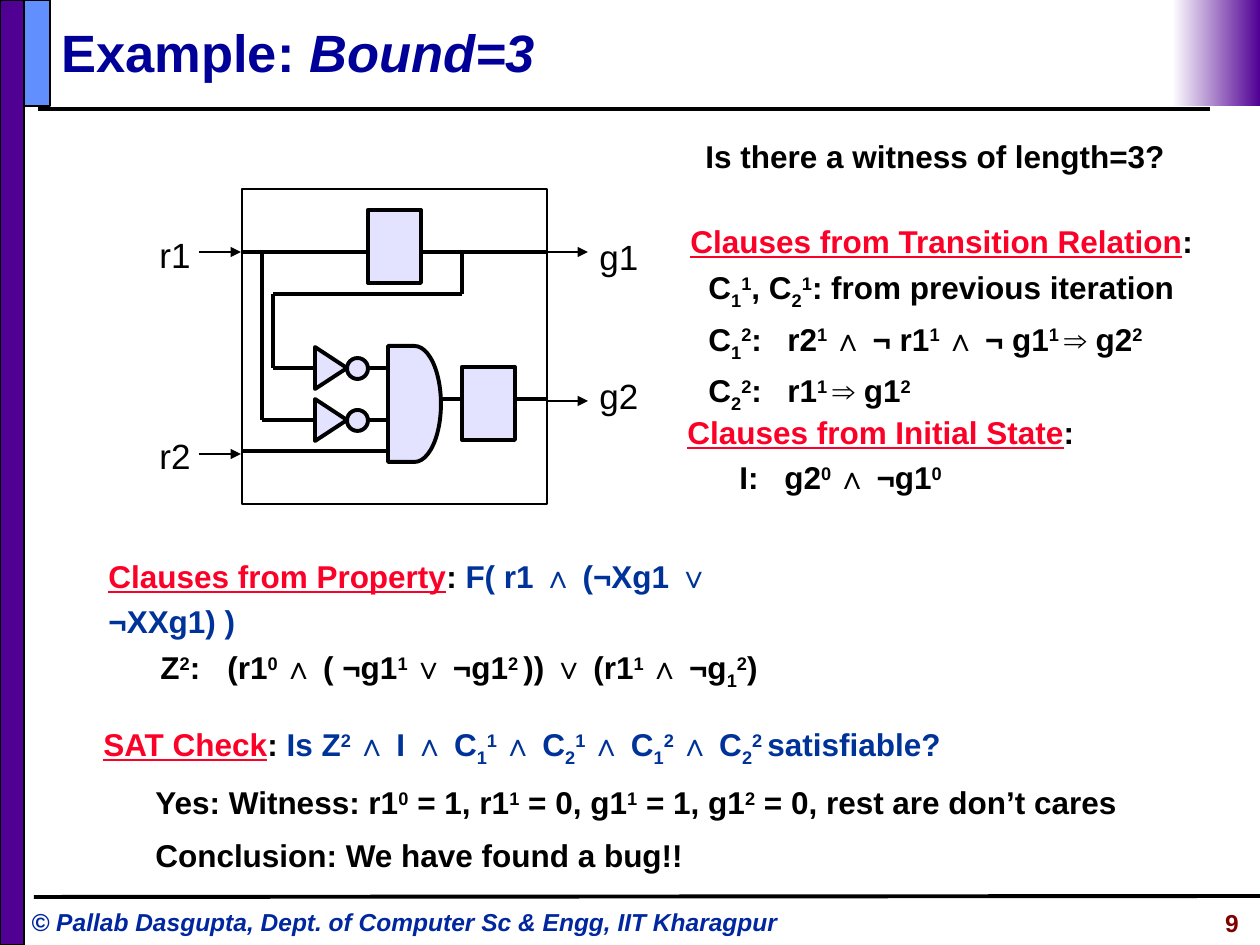
from lxml import etree
from pptx import Presentation
from pptx.dml.color import RGBColor
from pptx.enum.shapes import MSO_CONNECTOR, MSO_SHAPE
from pptx.enum.text import MSO_ANCHOR, PP_ALIGN
from pptx.oxml.ns import qn
from pptx.util import Pt

RECT, OVAL = MSO_SHAPE.RECTANGLE, MSO_SHAPE.OVAL
DELAY, MERGE = MSO_SHAPE.FLOWCHART_DELAY, MSO_SHAPE.FLOWCHART_MERGE
STRAIGHT = MSO_CONNECTOR.STRAIGHT
LEFT, RIGHT = PP_ALIGN.LEFT, PP_ALIGN.RIGHT
TOP, MIDDLE = MSO_ANCHOR.TOP, MSO_ANCHOR.MIDDLE

SCALE = 914400 / 126
BLACK, RED, BLUE = "000000", "FC0128", "003399"
GATE, PURPLE = "E3E3FF", "500093"
INDENT = 52
BASELINES = {"^": "30000", "_": "-25000"}


def px(n):
    return round(n * SCALE)


def rgb(color):
    return RGBColor.from_string(color)


def add_shape(s, kind, x, y, w, h, fill=None, line=BLACK, width=2.25, rotation=0):
    sp = s.shapes.add_shape(kind, px(x), px(y), px(w), px(h))
    sp.shadow.inherit = False
    sp.rotation = rotation
    if fill:
        sp.fill.solid()
        sp.fill.fore_color.rgb = rgb(fill)
    else:
        sp.fill.background()
    if line:
        sp.line.color.rgb = rgb(line)
        sp.line.width = Pt(width)
    else:
        sp.line.fill.background()
    return sp


def add_line(s, x1, y1, x2, y2, width=2.25, arrow=False):
    c = s.shapes.add_connector(STRAIGHT, px(x1), px(y1), px(x2), px(y2))
    c.line.color.rgb = rgb(BLACK)
    c.line.width = Pt(width)
    if arrow:
        etree.SubElement(c.line._get_or_add_ln(), qn("a:tailEnd"), type="triangle")
    etree.SubElement(c._element.spPr, qn("a:effectLst"))


def add_wire(s, *points):
    for start, end in zip(points, points[1:]):
        add_line(s, *start, *end)


def add_runs(p, text, size=18, color=BLACK, bold=True, italic=False, underline=False):
    """Split text at "|"; a piece led by ^ is raised, one led by _ is lowered."""
    for piece in text.split("|"):
        baseline = BASELINES.get(piece[0])
        r = p.add_run()
        r.text = piece[1:] if baseline else piece
        r.font.name = "Arial"
        r.font.size = Pt(size)
        r.font.bold = bold
        r.font.italic = italic
        r.font.underline = underline
        r.font.color.rgb = rgb(color)
        if baseline:
            r.font._element.set("baseline", baseline)


def set_indent(p, first, hang):
    """Start the first line at first; a tab then leads to hang."""
    pPr = p._p.get_or_add_pPr()
    pPr.set("marL", str(px(hang)))
    pPr.set("indent", str(px(first) - px(hang)))


def add_text(s, x, y, w, h, *paragraphs, spacing=1.0, align=LEFT, anchor=TOP, **font):
    """Each paragraph is a string, or a tuple (runs, first indent, hanging indent)."""
    tf = s.shapes.add_textbox(px(x), px(y), px(w), px(h)).text_frame
    tf.word_wrap = True
    tf.vertical_anchor = anchor
    for i, item in enumerate(paragraphs):
        p = tf.add_paragraph() if i else tf.paragraphs[0]
        p.alignment = align
        p.line_spacing = spacing
        runs, first, hang = (item, 0, 0) if isinstance(item, str) else item
        if hang:
            set_indent(p, first, hang)
        if isinstance(runs, str):
            runs = [(runs, {})]
        for text, changes in runs:
            add_runs(p, text, **{**font, **changes})


def heading(title, formula=None):
    runs = [(title, {"color": RED, "underline": True}), (": " if formula else ":", {})]
    if formula:
        runs.append((formula, {"color": BLUE}))
    return runs, 0, 0


def draw_frame(s):
    add_line(s, 38, 109, 1210, 109)
    add_text(s, 19, 901, 803, 43, "© Pallab Dasgupta, Dept. of Computer Sc & Engg, IIT Kharagpur",
             size=14, color="00279F", italic=True)
    add_shape(s, RECT, 0, 0, 24, 945, PURPLE, width=1)
    add_line(s, 34, 897, 1260, 896)
    add_shape(s, RECT, 24, 0, 26, 106, "618FFD", width=1)
    fade = add_shape(s, RECT, 1172, 0, 88, 106, line=None)
    fade.fill.gradient()
    fade.fill.gradient_angle = 180
    for stop, color, position in zip(fade.fill.gradient_stops, (PURPLE, "FFFFFF"), (0, 1)):
        stop.color.rgb = rgb(color)
        stop.position = position
    add_text(s, 49, 13, 1147, 77, ([("Example: ", {}), ("Bound=3", {"italic": True})], 0, 0),
             size=30, color="000099", anchor=MIDDLE)
    add_text(s, 1031, 902, 220, 43, "9", size=14, color="800000", align=RIGHT)


def draw_circuit(s):
    add_shape(s, RECT, 242, 189, 305, 315, width=0.75)
    ports = [("r1", 147, 227, 199, 252), ("r2", 147, 428, 199, 454),
             ("g1", 587, 229, 546, 252), ("g2", 587, 368, 546, 401)]
    for name, x, y, start, level in ports:
        add_text(s, x, y, 70, 55, name, size=20, bold=False)
        add_line(s, start, level, start + 42, level, 0.75, arrow=True)

    for x, y in ((368, 210), (462, 367)):
        add_shape(s, RECT, x, y, 53, 73, GATE)
    add_shape(s, DELAY, 388, 346, 53, 116, GATE)
    for y in (368, 420):
        add_shape(s, OVAL, 347, y - 10, 21, 21, GATE)
        add_shape(s, MERGE, 310, y - 16, 42, 32, GATE, rotation=270)
        add_wire(s, (368, y), (388, y))

    add_wire(s, (242, 252), (368, 252))
    add_wire(s, (262, 252), (262, 420), (315, 420))
    add_wire(s, (388, 451), (242, 451))
    add_wire(s, (441, 399), (462, 399))
    add_wire(s, (420, 252), (546, 252))
    add_wire(s, (515, 399), (546, 399))
    add_wire(s, (462, 252), (462, 294), (273, 294), (273, 368), (315, 368))


def write_clauses(s):
    add_text(s, 693, 131, 500, 50, "Is there a witness of length=3?")
    add_text(s, 678, 208, 560, 258,
             heading("Clauses from Transition Relation"),
             ("C|_1|^1|, C|_2|^1|: from previous iteration", 18, 97),
             ("C|_1|^2|:\tr2|^1 |∧ ¬ r1|^1 |∧ ¬ g1|^1 |⇒ g2|^2", 18, 97),
             ("C|_2|^2|:\tr1|^1 |⇒ g1|^2", 18, 97), spacing=1.2)
    add_text(s, 675, 399, 440, 103,
             heading("Clauses from Initial State"),
             ("I:\tg2|^0 |∧ ¬g1|^0", INDENT, 97), spacing=1.2)
    add_text(s, 96, 543, 725, 110,
             heading("Clauses from Property", "F( r1 ∧ (¬Xg1 ∨ ¬XXg1) )"),
             ("Z|^2|:\t(r1|^0 |∧ ( ¬g1|^1 |∨ ¬g1|^2 |)) ∨ (r1|^1 |∧ ¬g|_1|^2|)", INDENT, 119),
             spacing=1.2)
    add_text(s, 91, 702, 1100, 179,
             heading("SAT Check", "Is Z|^2 |∧ I ∧ C|_1|^1 |∧ C|_2|^1 |∧ C|_1|^2 |∧ C|_2|^2 |satisfiable?"),
             ("Yes: Witness: r1|^0| = 1, r1|^1| = 0, g1|^1| = 1, g1|^2| = 0, rest are don’t cares",
              INDENT, INDENT),
             ("Conclusion: We have found a bug!!", INDENT, INDENT), spacing=1.4)


def main():
    prs = Presentation()
    prs.slide_width, prs.slide_height = px(1260), px(945)
    s = prs.slides.add_slide(prs.slide_layouts[6])
    draw_frame(s)
    draw_circuit(s)
    write_clauses(s)
    prs.save("out.pptx")


if __name__ == "__main__":
    main()
